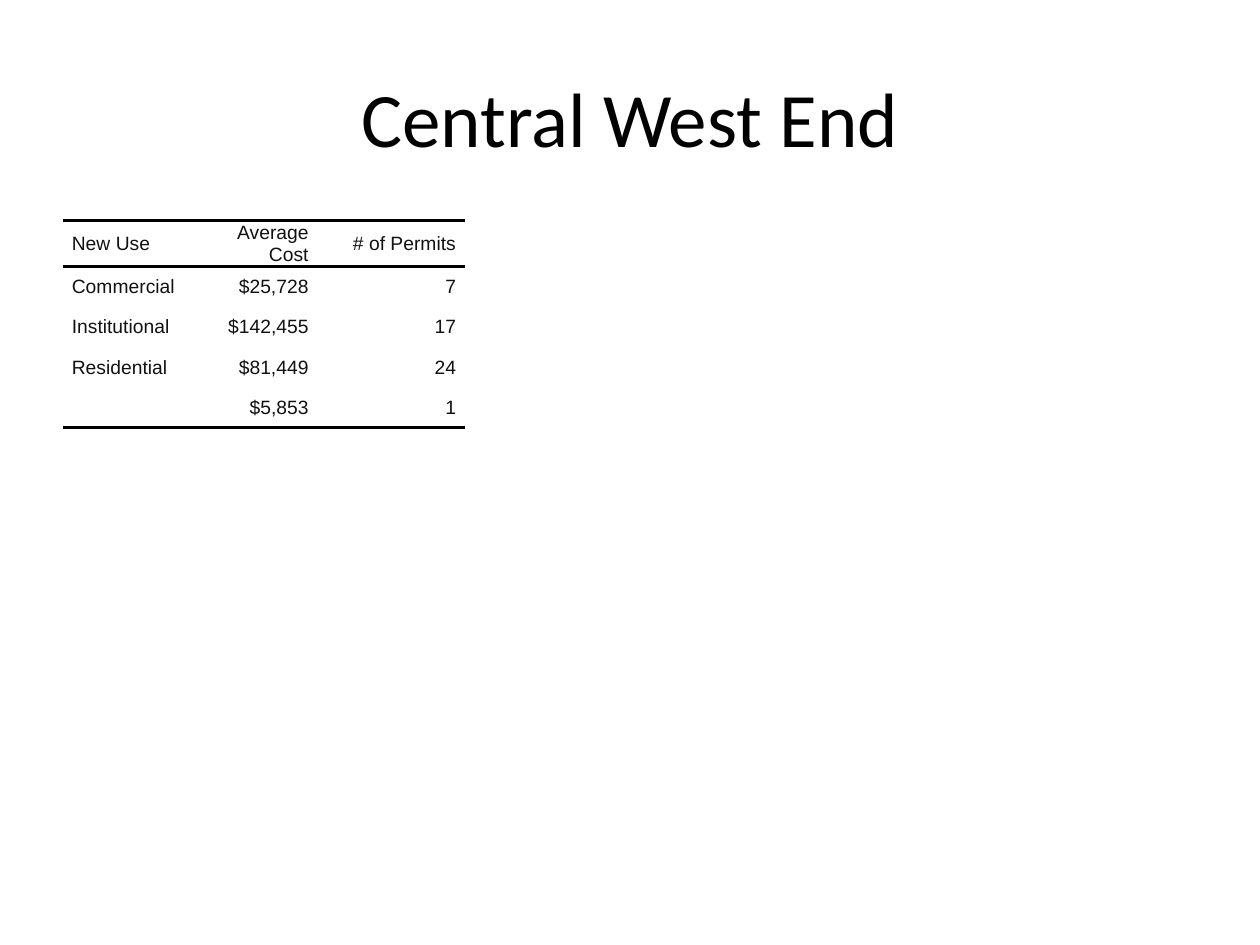
from dataclasses import dataclass

from lxml import etree
from pptx import Presentation
from pptx.dml.color import RGBColor
from pptx.enum.text import MSO_ANCHOR, PP_ALIGN
from pptx.oxml.ns import qn
from pptx.util import Inches, Pt

MIDDLE = MSO_ANCHOR.MIDDLE
LEFT, CENTER, RIGHT = PP_ALIGN.LEFT, PP_ALIGN.CENTER, PP_ALIGN.RIGHT


@dataclass(frozen=True)
class Theme:
    title_font: str = "Calibri"
    title_size: int = 44
    title_color: str = "000000"
    table_font: str = "Arial"
    table_size: int = 11
    table_color: str = "111111"
    rule_color: str = "000000"
    rule_width: int = 2


@dataclass(frozen=True)
class Column:
    width: float
    alignment: PP_ALIGN


THEME = Theme()
COLUMNS = [Column(1.1, LEFT), Column(0.92, RIGHT), Column(1.17, RIGHT)]
ROW_HEIGHTS = [0.31] + [0.32] * 4
PERMITS = [
    ("New Use", "Average Cost", "# of Permits"),
    ("Commercial", "$25,728", "7"),
    ("Institutional", "$142,455", "17"),
    ("Residential", "$81,449", "24"),
    ("", "$5,853", "1"),
]
RULED_EDGES = {0, 1, len(PERMITS)}


def style_font(font, name: str, size: int, color: str) -> None:
    font.name = name
    font.size = Pt(size)
    font.color.rgb = RGBColor.from_string(color)


def add_title(slide, text: str) -> None:
    shape = slide.shapes.add_textbox(Inches(0.5), Inches(0.3), Inches(9), Inches(1.25))
    frame = shape.text_frame
    frame.word_wrap = True
    frame.vertical_anchor = MIDDLE
    paragraph = frame.paragraphs[0]
    paragraph.alignment = CENTER
    run = paragraph.add_run()
    run.text = text
    style_font(run.font, THEME.title_font, THEME.title_size, THEME.title_color)


def set_border(cell, side: str, ruled: bool) -> None:
    width = Pt(THEME.rule_width) if ruled else 0
    line = etree.SubElement(cell._tc.get_or_add_tcPr(), qn(f"a:{side}"), w=str(width))
    if ruled:
        fill = etree.SubElement(line, qn("a:solidFill"))
        etree.SubElement(fill, qn("a:srgbClr"), val=THEME.rule_color)
    else:
        etree.SubElement(line, qn("a:noFill"))


def fill_cell(cell, text: str, alignment: PP_ALIGN, row: int) -> None:
    cell.margin_left = cell.margin_right = cell.margin_top = cell.margin_bottom = 0
    cell.vertical_anchor = MIDDLE
    borders = {"lnL": False, "lnR": False,
               "lnT": row in RULED_EDGES, "lnB": row + 1 in RULED_EDGES}
    for side, ruled in borders.items():
        set_border(cell, side, ruled)
    cell.fill.background()
    paragraph = cell.text_frame.paragraphs[0]
    paragraph.alignment = alignment
    properties = paragraph._p.get_or_add_pPr()
    for margin in ("marL", "marR"):
        properties.set(margin, str(Inches(0.07)))
    paragraph.space_after = Pt(2)
    style_font(paragraph.font, THEME.table_font, THEME.table_size, THEME.table_color)
    if text:
        run = paragraph.add_run()
        run.text = text
        style_font(run.font, THEME.table_font, THEME.table_size, THEME.table_color)


def add_permit_table(slide) -> None:
    width = sum(column.width for column in COLUMNS)
    table = slide.shapes.add_table(
        len(PERMITS), len(COLUMNS), Inches(0.5), Inches(1.75),
        Inches(width), Inches(sum(ROW_HEIGHTS))).table
    table.first_row = False
    table.horz_banding = False
    for index, column in enumerate(COLUMNS):
        table.columns[index].width = Inches(column.width)
    for row, (height, texts) in enumerate(zip(ROW_HEIGHTS, PERMITS)):
        table.rows[row].height = Inches(height)
        for index, (column, text) in enumerate(zip(COLUMNS, texts)):
            fill_cell(table.cell(row, index), text, column.alignment, row)


def main() -> None:
    presentation = Presentation()
    presentation.slide_width = Inches(10)
    presentation.slide_height = Inches(7.5)
    slide = presentation.slides.add_slide(presentation.slide_layouts[6])
    add_title(slide, "Central West End")
    add_permit_table(slide)
    presentation.save("out.pptx")


if __name__ == "__main__":
    main()
